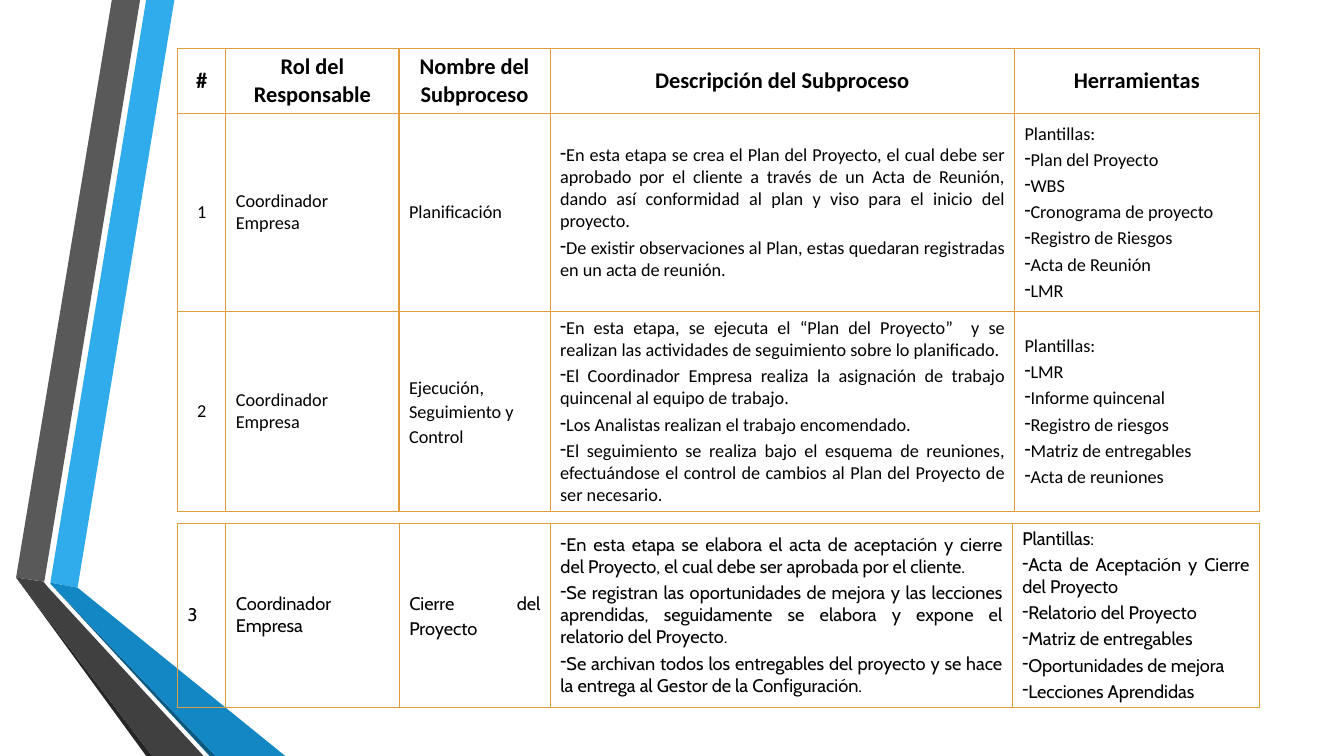
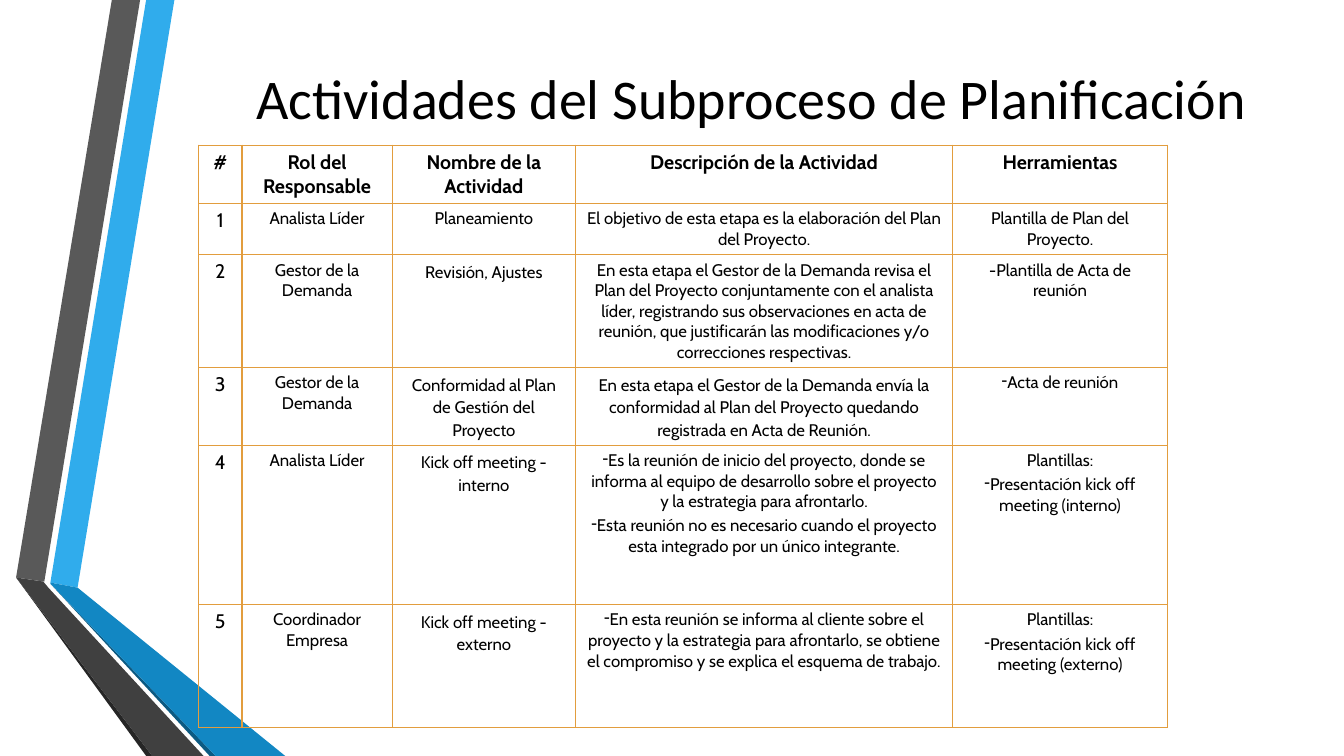
from pptx import Presentation
from pptx import util as u
from pptx.dml.color import RGBColor
from pptx.enum import text
from pptx.oxml import parse_xml
from pptx.oxml.ns import nsdecls

WIDTH, HEIGHT = 13.33, 7.5
BLACK, GOLD = "000000", "E29D3E"
ALIGN = {"c": text.PP_ALIGN.CENTER, "l": text.PP_ALIGN.LEFT, "j": text.PP_ALIGN.JUSTIFY}
TITLE_BOX = (1.97, 0, 10.96, 1.92)

# Folded ribbons at the left edge: colour and outline in inches
RIBBONS = [
    ("30ACEC", [(0.5, 5.78), (0.77, 5.83), (1.73, 0), (1.45, 0)]),
    ("595959", [(1.39, 0), (1.11, 0), (0.16, 5.73), (0.44, 5.77)]),
    ("262626", [(0.16, 5.73), (1.45, 7.5), (1.51, 7.5)]),
    ("0C5A82", [(0.5, 5.79), (2.08, 7.5), (2.14, 7.5)]),
    ("1287C3", [(0.5, 5.79), (2.14, 7.5), (2.83, 7.5), (0.77, 5.83), (0.5, 5.78)]),
    ("404040", [(2.02, 7.5), (0.48, 5.83), (0.43, 5.77), (0.16, 5.73), (1.51, 7.5)]),
]

# Table contents: a line that starts with "- " is a bulleted paragraph
SUBPROCESSES = [
    ["#", "Rol del Responsable", "Nombre del Subproceso", "Descripción del Subproceso",
     "Herramientas"],
    ["1", "Coordinador Empresa", "Planificación",
     "- En esta etapa se crea el Plan del Proyecto, el cual debe ser aprobado por el cliente "
     "a través de un Acta de Reunión, dando así conformidad al plan y viso para el inicio del "
     "proyecto.\n"
     "- De existir observaciones al Plan, estas quedaran registradas en un acta de reunión.",
     "Plantillas:\n- Plan del Proyecto\n- WBS\n- Cronograma de proyecto\n"
     "- Registro de Riesgos\n- Acta de Reunión\n- LMR"],
    ["2", "Coordinador Empresa", "Ejecución, Seguimiento y Control",
     "- En esta etapa, se ejecuta el “Plan del Proyecto”  y se realizan las actividades de "
     "seguimiento sobre lo planificado.\n"
     "- El Coordinador Empresa realiza la asignación de trabajo quincenal al equipo de trabajo.\n"
     "- Los Analistas realizan el trabajo encomendado.\n"
     "- El seguimiento se realiza bajo el esquema de reuniones, efectuándose el control de "
     "cambios al Plan del Proyecto de ser necesario.",
     "Plantillas:\n- LMR\n- Informe quincenal\n- Registro de riesgos\n"
     "- Matriz de entregables\n- Acta de reuniones"],
]
CLOSING = [
    ["3", "Coordinador Empresa", "Cierre del Proyecto",
     "- En esta etapa se elabora el acta de aceptación y cierre del Proyecto, el cual debe ser "
     "aprobada por el cliente.\n"
     "- Se registran las oportunidades de mejora y las lecciones aprendidas, seguidamente se "
     "elabora y expone el relatorio del Proyecto.\n"
     "- Se archivan todos los entregables del proyecto y se hace la entrega al Gestor de la "
     "Configuración.",
     "Plantillas:\n- Acta de Aceptación y Cierre del Proyecto\n- Relatorio del Proyecto\n"
     "- Matriz de entregables\n- Oportunidades de mejora\n- Lecciones Aprendidas"],
]
ACTIVITIES = [
    ["#", "Rol del Responsable", "Nombre de la Actividad", "Descripción de la Actividad",
     "Herramientas"],
    ["1", "Analista Líder", "Planeamiento",
     "El objetivo de esta etapa es la elaboración del Plan del Proyecto.",
     "Plantilla de Plan del Proyecto."],
    ["2", "Gestor de la Demanda", "Revisión, Ajustes",
     "En esta etapa el Gestor de la Demanda revisa el Plan del Proyecto conjuntamente con el "
     "analista líder, registrando sus observaciones en acta de reunión, que justificarán las "
     "modificaciones y/o correcciones respectivas.",
     "-Plantilla de Acta de reunión"],
    ["3", "Gestor de la Demanda", "Conformidad al Plan de Gestión del Proyecto",
     "En esta etapa el Gestor de la Demanda envía la conformidad al Plan del Proyecto quedando "
     "registrada en Acta de Reunión.",
     "- Acta de reunión"],
    ["4", "Analista Líder", "Kick off meeting - interno",
     "- Es la reunión de inicio del proyecto, donde se informa al equipo de desarrollo sobre el "
     "proyecto y la estrategia para afrontarlo.\n"
     "- Esta reunión no es necesario cuando el proyecto esta integrado por un único integrante.",
     "Plantillas:\n- Presentación kick off meeting (interno)"],
    ["5", "Coordinador Empresa", "Kick off meeting - externo",
     "- En esta reunión se informa al cliente sobre el proyecto y la estrategia para afrontarlo, "
     "se obtiene el compromiso y se explica el esquema de trabajo.",
     "Plantillas:\n- Presentación kick off meeting (externo)"],
]


def rgb(color):
    return RGBColor.from_string(color)


def style_runs(p, font, size, bold=False):
    for r in p.runs:
        r.font.name, r.font.size, r.font.bold = font, u.Pt(size), bold
        r.font.color.rgb = rgb(BLACK)


def add_ribbons(prs, slide):
    """Draw the ribbons and move them to the master, behind everything."""
    tree = prs.slide_master.shapes.element
    for i, (color, points) in enumerate(RIBBONS):
        start, *rest = [(u.Inches(x), u.Inches(y)) for x, y in points]
        builder = slide.shapes.build_freeform(*start, scale=1.0)
        builder.add_line_segments(rest, close=True)
        sp = builder.convert_to_shape()
        sp.shadow.inherit = False
        sp.fill.solid()
        sp.fill.fore_color.rgb = rgb(color)
        sp.line.fill.background()
        sp.element.nvSpPr.cNvPr.set("id", str(100 + i))
        tree.insert(2 + i, sp.element)


def add_title(slide, box, title):
    sp = slide.shapes.title
    sp.left, sp.top, sp.width, sp.height = map(u.Inches, box)
    tf = sp.text_frame
    tf.text = title
    tf.vertical_anchor = text.MSO_ANCHOR.MIDDLE
    tf.paragraphs[0].alignment = ALIGN["c"]
    style_runs(tf.paragraphs[0], "Calibri", 40)


def add_bullet(p):
    pPr = p._p.get_or_add_pPr()
    pPr.set("marL", "0")
    pPr.set("indent", "0")
    pPr.append(parse_xml(f'<a:buFontTx {nsdecls("a")}/>'))
    pPr.append(parse_xml(f'<a:buChar {nsdecls("a")} char="-"/>'))


def add_borders(cell):
    tcPr = cell._tc.get_or_add_tcPr()
    for i, side in enumerate("LRTB"):
        tcPr.insert(i, parse_xml(
            f'<a:ln{side} {nsdecls("a")} w="12700"><a:solidFill><a:srgbClr val="{GOLD}"/>'
            f'</a:solidFill></a:ln{side}>'))


def fill_cell(cell, content, font, size, align, bold, anchor, loose):
    cell.fill.background()
    add_borders(cell)
    cell.vertical_anchor = anchor
    tf = cell.text_frame
    lines = content.split("\n")
    tf.text = "\n".join(line.removeprefix("- ") for line in lines)
    for i, (p, line) in enumerate(zip(tf.paragraphs, lines)):
        p.alignment = ALIGN[align]
        if loose:
            p.line_spacing = 1.1
        if i:
            p.space_before = u.Pt(round(size * 0.22, 1))
        if line.startswith("- "):
            add_bullet(p)
        style_runs(p, font, size, bold)


def add_grid(slide, box, cols, rows, data, font, size, aligns, anchor,
             head_size=None, number_size=None, loose=()):
    """Table in a box; cols and rows are shares of its width and height."""
    x, y, w, h = box
    table = slide.shapes.add_table(len(rows), len(cols), *map(u.Inches, box)).table
    table.first_row = table.horz_banding = False
    for col, share in zip(table.columns, cols):
        col.width = u.Inches(w * share / sum(cols))
    for row, share in zip(table.rows, rows):
        row.height = u.Inches(h * share / sum(rows))
    for r, row in enumerate(data):
        for c, content in enumerate(row):
            head = bool(head_size) and r == 0
            cell_size = head_size if head else number_size if number_size and c == 0 else size
            fill_cell(table.cell(r, c), content, font, cell_size,
                      "c" if head else aligns[c], head, anchor, (r, c) in loose)


def build_subprocesses(slide):
    middle = text.MSO_ANCHOR.MIDDLE
    add_grid(slide, (1.76, 5.19, 10.73, 1.81), (0.48, 1.72, 1.5, 4.58, 2.45), (1,),
             CLOSING, "Cabin", 13, "jjjjj", middle, loose={(0, 2)})
    add_grid(slide, (1.76, 0.48, 10.73, 4.58), (0.48, 1.72, 1.5, 4.61, 2.43),
             (0.64, 1.97, 1.97), SUBPROCESSES, "Calibri", 13, "clljl", middle,
             head_size=16, loose={(2, 2)})


def build_activities(slide):
    add_title(slide, TITLE_BOX, "Actividades del Subproceso de Planificación")
    add_grid(slide, (1.97, 1.44, 9.61, 5.77), (0.43, 1.49, 1.82, 3.74, 2.13),
             (0.58, 0.5, 1.12, 0.77, 1.58, 1.22), ACTIVITIES, "Cabin", 12, "ccccc",
             text.MSO_ANCHOR.TOP, head_size=14, number_size=14,
             loose={(2, 2), (3, 2), (3, 3), (4, 2), (5, 2)})


def main():
    prs = Presentation()
    prs.slide_width, prs.slide_height = u.Inches(WIDTH), u.Inches(HEIGHT)
    title_only, blank = prs.slide_layouts[5], prs.slide_layouts[6]
    first = prs.slides.add_slide(blank)
    add_ribbons(prs, first)
    build_subprocesses(first)
    build_activities(prs.slides.add_slide(title_only))
    prs.save("out.pptx")


if __name__ == "__main__":
    main()
